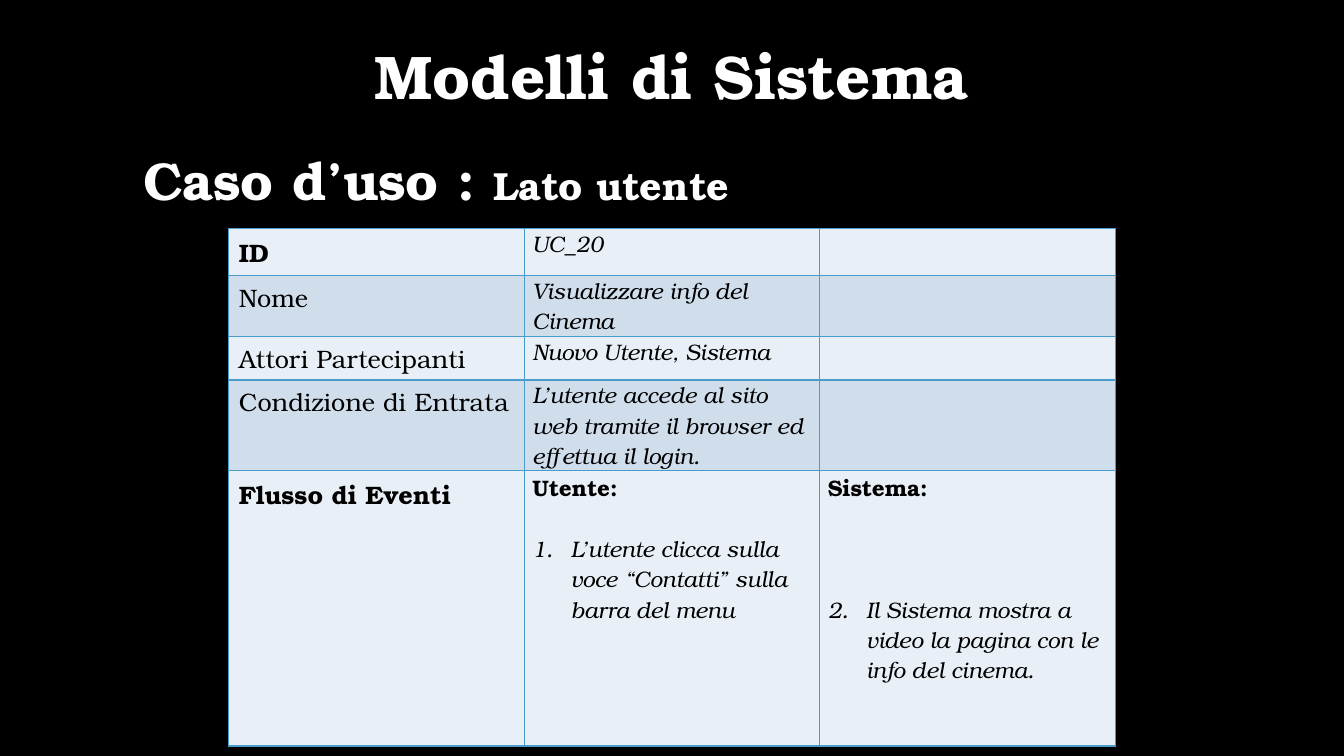
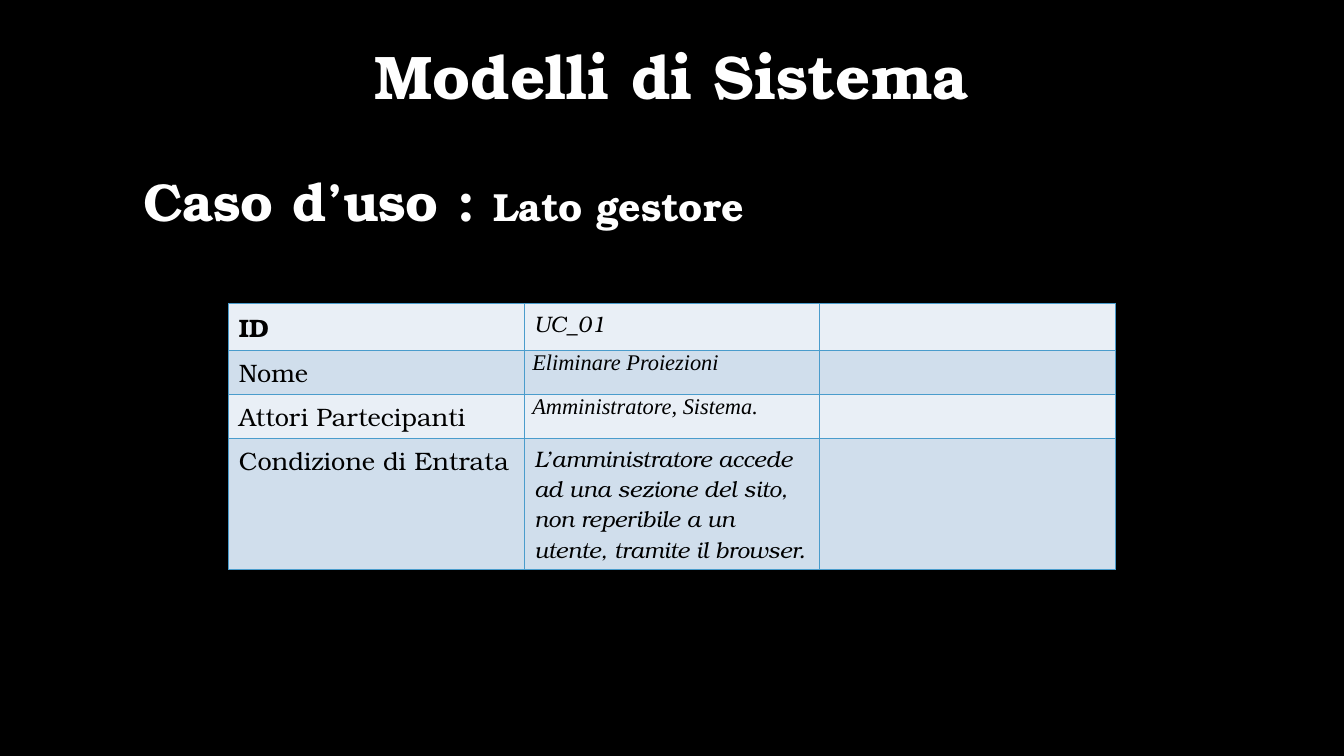
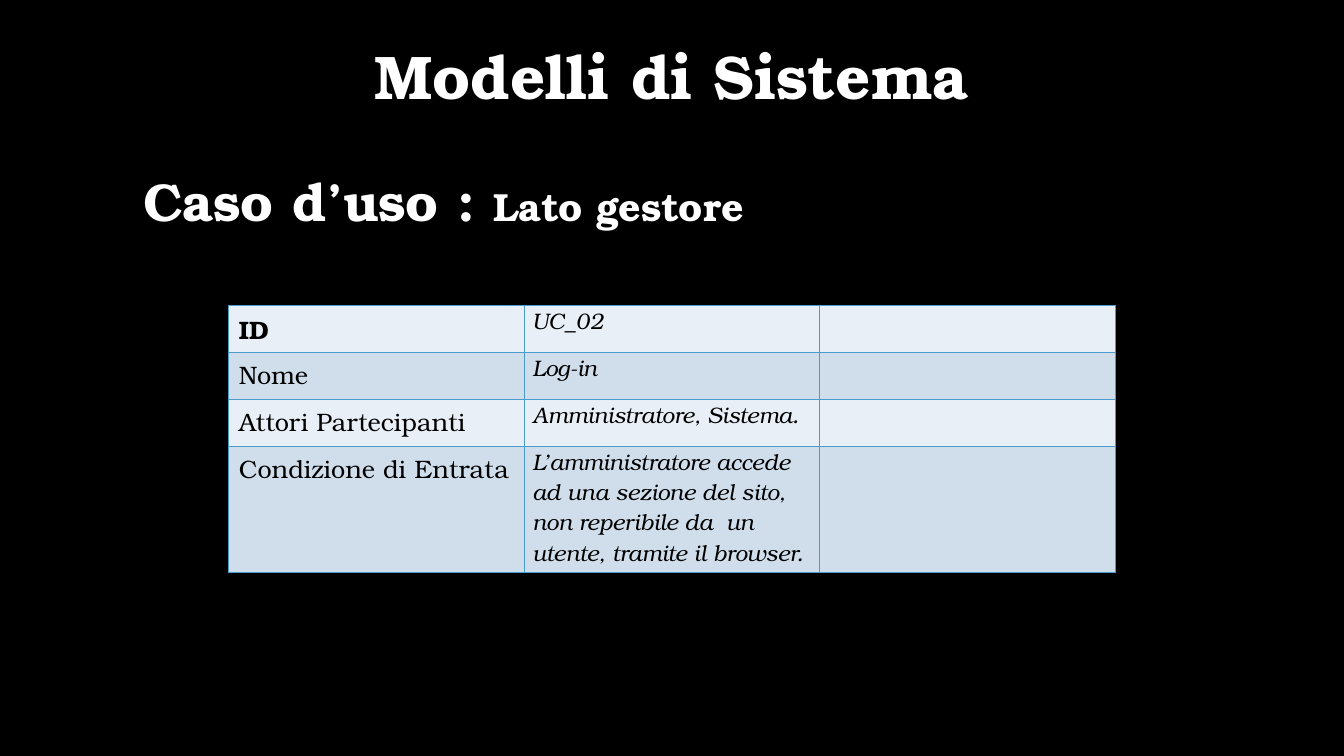
from dataclasses import dataclass

from pptx import Presentation
from pptx.dml.color import RGBColor
from pptx.enum.text import MSO_ANCHOR as Anchor, MSO_AUTO_SIZE as AutoSize, PP_ALIGN as Align
from pptx.oxml.xmlchemy import OxmlElement as Element
from pptx.util import Inches, Pt

SERIF, TIMES = "TeX Gyre Bonum", "Times New Roman"
BLACK, WHITE, GREEN, BORDER = "000000", "FFFFFF", "CAEB96", "4A9CCC"
BANDS = ("E9EFF6", "D0DEEC")
TITLE_ONLY = 5
TABLE_LEFT, COLUMN_WIDTH, COLUMNS = 2.27, 2.93, 3
CELL_LINE = 21.6
LABELS = ("ID", "Nome", "Attori Partecipanti", "Condizione di Entrata", "Flusso di Eventi")
BOLD_LABELS = ("ID", "Flusso di Eventi")


@dataclass
class Value:
    text: str
    font: str = SERIF
    tight: bool = True


@dataclass
class Step:
    """One side of the flow of events: a heading and a numbered action."""
    actor: str
    number: int
    action: str
    blank_lines: int


def colour(value):
    return RGBColor.from_string(value)


def add_text(para, text, size=16, font=SERIF, fill=BLACK, bold=False, italic=False):
    span = para.add_run()
    span.text = text
    span.font.size, span.font.name = Pt(size), font
    span.font.bold, span.font.italic = bold, italic
    span.font.color.rgb = colour(fill)


def number_para(para, number, indent=0.38):
    props = para._p.get_or_add_pPr()
    props.set("marL", str(Inches(indent)))
    props.set("indent", str(-Inches(indent)))
    bullet = Element("a:buAutoNum")
    bullet.set("type", "arabicPeriod")
    if number > 1:
        bullet.set("startAt", str(number))
    props.append(bullet)


def style_cell(cell, fill):
    props = cell._tc.get_or_add_tcPr()
    for side in ("a:lnL", "a:lnR", "a:lnT", "a:lnB"):
        line, solid, shade = Element(side), Element("a:solidFill"), Element("a:srgbClr")
        line.set("w", str(Pt(1)))
        shade.set("val", BORDER)
        solid.append(shade)
        line.append(solid)
        props.append(line)
    cell.fill.solid()
    cell.fill.fore_color.rgb = colour(fill)


def tighten_cell(cell):
    cell.margin_left = cell.margin_right = Inches(0.08)
    cell.margin_top = cell.margin_bottom = 0


def fill_cell(cell, entry):
    para = cell.text_frame.paragraphs[0]
    if isinstance(entry, Step):
        tighten_cell(cell)
        add_text(para, entry.actor, bold=True)
        action = cell.text_frame.add_paragraph()
        action.space_before = Pt(CELL_LINE * entry.blank_lines)
        number_para(action, entry.number)
        add_text(action, entry.action, italic=True)
    else:
        if entry.tight:
            tighten_cell(cell)
        add_text(para, entry.text, font=entry.font, italic=True)


def add_use_case(page, top, heights, entries):
    """Table of a use case; each row of entries fills the columns after the label."""
    table = page.shapes.add_table(
        len(heights), COLUMNS, Inches(TABLE_LEFT), Inches(top),
        Inches(COLUMN_WIDTH * COLUMNS), Inches(sum(heights))).table
    table.first_row = table.horz_banding = False
    for column in table.columns:
        column.width = Inches(COLUMN_WIDTH)
    for index, (height, label, row) in enumerate(zip(heights, LABELS, entries)):
        table.rows[index].height = Inches(height)
        for column in range(COLUMNS):
            style_cell(table.cell(index, column), BANDS[index % 2])
        add_text(table.cell(index, 0).text_frame.paragraphs[0], label, size=18,
                 bold=label in BOLD_LABELS)
        for column, entry in enumerate(row, 1):
            fill_cell(table.cell(index, column), entry)


def shade_heading(box):
    """Gradient whose two stops share one place, the upper one translucent black."""
    box.fill.gradient()
    box.fill.gradient_angle = 315
    for stop, value in zip(box.fill.gradient_stops, (GREEN, BLACK)):
        stop.position = 0
        stop.color.rgb = colour(value)
    alpha = Element("a:alpha")
    alpha.set("val", "56000")
    stop._gs.find("{*}srgbClr").append(alpha)


def place_heading(box, left, top, width, height, spans, align):
    box.left, box.top, box.width, box.height = map(Inches, (left, top, width, height))
    shade_heading(box)
    frame = box.text_frame
    frame.word_wrap, frame.auto_size = True, AutoSize.NONE
    frame.vertical_anchor = Anchor.TOP
    para = frame.paragraphs[0]
    para.alignment, para.line_spacing = align, 0.9
    for text, size in spans:
        add_text(para, text, size=size, fill=WHITE, bold=True)


def add_page(deck, side, side_top, side_height):
    page = deck.slides.add_slide(deck.slide_layouts[TITLE_ONLY])
    page.background.fill.solid()
    page.background.fill.fore_color.rgb = colour(BLACK)
    place_heading(page.shapes.title, 0, 0.41, 13.33, 0.88,
                  [("Modelli di Sistema", 44)], Align.CENTER)
    place_heading(page.shapes.add_textbox(0, 0, 0, 0), 1.32, side_top, 10.69, side_height,
                  [("Caso d’uso : ", 38), (side, 28)], Align.LEFT)
    return page


def main():
    deck = Presentation()
    deck.slide_width, deck.slide_height = Inches(13.33), Inches(7.5)

    page = add_page(deck, "Lato utente", 1.48, 5.72)
    add_use_case(page, 2.27, (0.46, 0.6, 0.43, 0.9, 2.73), [
        [Value("UC_20")],
        [Value("Visualizzare info del Cinema")],
        [Value("Nuovo Utente, Sistema")],
        [Value("L’utente accede al sito web tramite il browser ed effettua il login.")],
        [Step("Utente:", 1, "L’utente clicca sulla voce “Contatti” sulla barra del menu", 1),
         Step("Sistema:", 2, "Il Sistema mostra a video la pagina con le info del cinema.", 3)],
    ])

    page = add_page(deck, "Lato gestore", 1.69, 5.32)
    add_use_case(page, 3.01, (0.46, 0.44, 0.43, 1.3), [
        [Value("UC_01", tight=False)],
        [Value("Eliminare Proiezioni", font=TIMES)],
        [Value("Amministratore, Sistema.", font=TIMES)],
        [Value("L’amministratore accede ad una sezione del sito, non reperibile a un "
               "utente, tramite il browser.", tight=False)],
    ])

    page = add_page(deck, "Lato gestore", 1.69, 5.32)
    add_use_case(page, 3.03, (0.47, 0.46, 0.47, 1.25), [
        [Value("UC_02")],
        [Value("Log-in")],
        [Value("Amministratore, Sistema.")],
        [Value("L’amministratore accede ad una sezione del sito, non reperibile da  un "
               "utente, tramite il browser.")],
    ])

    deck.save("out.pptx")


if __name__ == "__main__":
    main()
